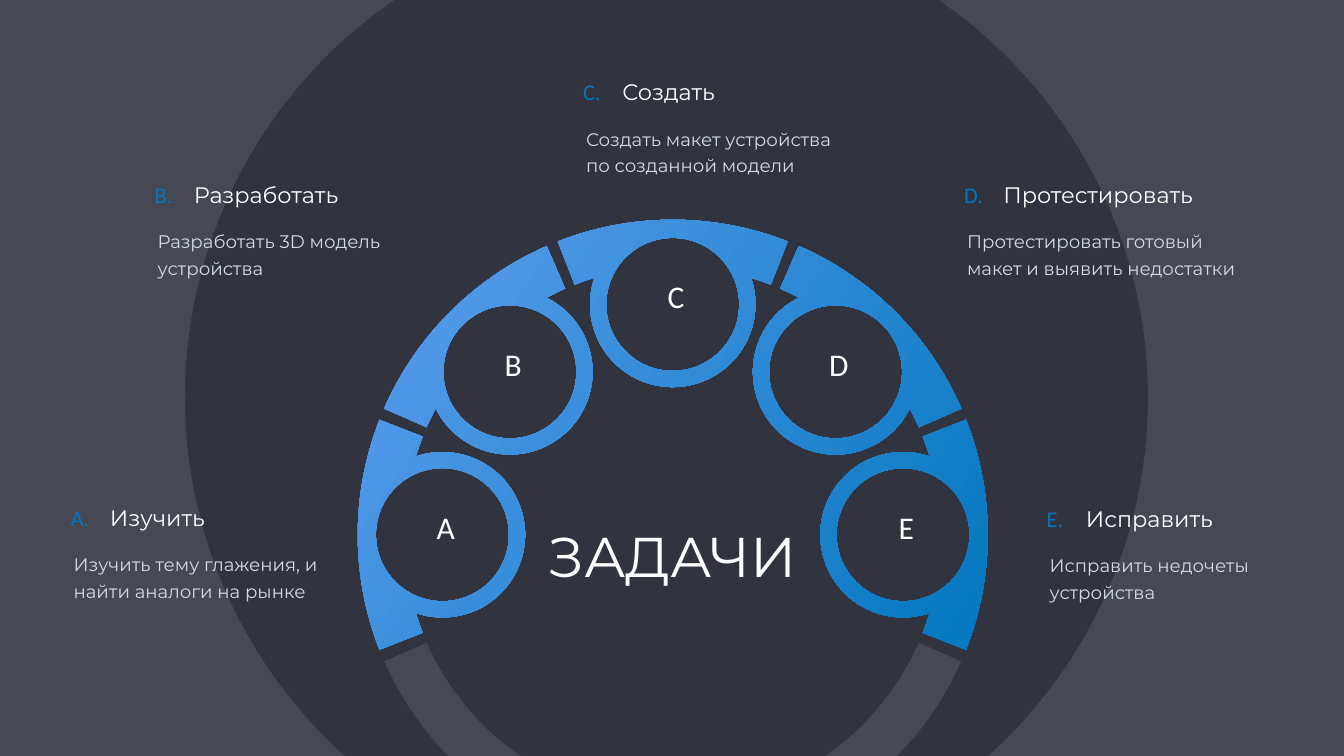
from dataclasses import dataclass
from math import acos, atan2, ceil, cos, degrees, radians, sin, tan

from pptx import Presentation
from pptx.dml.color import RGBColor
from pptx.enum.shapes import MSO_SHAPE
from pptx.enum.text import MSO_ANCHOR, MSO_AUTO_SIZE, PP_ALIGN
from pptx.oxml.ns import qn
from pptx.util import Inches, Pt

ELLIPSE = MSO_SHAPE.OVAL
TOP, MIDDLE = MSO_ANCHOR.TOP, MSO_ANCHOR.MIDDLE
LEFT, CENTER = PP_ALIGN.LEFT, PP_ALIGN.CENTER
GROW = MSO_AUTO_SIZE.SHAPE_TO_FIT_TEXT


@dataclass(frozen=True)
class Theme:
    background: RGBColor = RGBColor.from_string("464853")
    disc: RGBColor = RGBColor.from_string("31333F")
    gradient_start: RGBColor = RGBColor.from_string("5E9EEE")
    accent: RGBColor = RGBColor.from_string("0277BF")
    white: RGBColor = RGBColor.from_string("FFFFFF")
    body: RGBColor = RGBColor.from_string("D2DBE4")
    letter_font: str = "Calibri"
    text_font: str = "Montserrat"
    title_size: int = 80
    badge_size: int = 45
    heading_size: int = 32
    body_size: int = 26


theme = Theme()
presentation = Presentation()
presentation.slide_width, presentation.slide_height = Inches(26.67), Inches(15)
slide = presentation.slides.add_slide(presentation.slide_layouts[6])
slide.background.fill.solid()
slide.background.fill.fore_color.rgb = theme.background


def add_curved_outline(contours):
    """Each contour is a list of arcs (x, y, radius, start, end), in degrees
    counterclockwise from the right, joined by straight edges."""
    builder = None
    for arcs in contours:
        points = []
        for x, y, radius, start, end in arcs:
            count = ceil(abs(end - start) / 90)
            step = radians(end - start) / count
            pull = 4 / 3 * tan(step / 4)
            first = (x + radius * cos(radians(start)), y - radius * sin(radians(start)))
            # A straight edge is a curve with its handles on its ends
            points += [points[-1], first, first] if points else [first]
            for i in range(count):
                a = radians(start) + i * step
                b = a + step
                points += [(x + radius * (cos(a) - pull * sin(a)),
                            y - radius * (sin(a) + pull * cos(a))),
                           (x + radius * (cos(b) + pull * sin(b)),
                            y - radius * (sin(b) - pull * cos(b))),
                           (x + radius * cos(b), y - radius * sin(b))]
        points = [(Inches(px), Inches(py)) for px, py in points]
        if builder is None:
            builder = slide.shapes.build_freeform(*points[0], scale=1.0)
        else:
            builder.move_to(*points[0])
        builder.add_line_segments(points[1:], close=True)
    shape = builder.convert_to_shape()
    # Every three line points become one Bezier curve
    lines = list(shape._element.iter(qn("a:lnTo")))
    for curve, second, third in zip(lines[::3], lines[1::3], lines[2::3]):
        curve.tag = qn("a:cubicBezTo")
        for line in (second, third):
            curve.append(line[0])
            line.getparent().remove(line)
    shape.shadow.inherit = False
    shape.line.fill.background()
    return shape


def add_text(box, text, size, color, font, align=LEFT, anchor=MIDDLE, spacing=None):
    frame = slide.shapes.add_textbox(*map(Inches, box)).text_frame
    frame.word_wrap = True
    frame.auto_size = GROW
    frame.vertical_anchor = anchor
    frame.margin_left = frame.margin_right = Inches(0.06)
    frame.margin_top = frame.margin_bottom = Inches(0.06)
    paragraph = frame.paragraphs[0]
    paragraph.text = text
    paragraph.alignment = align
    paragraph.line_spacing = spacing
    paragraph.font.size = Pt(size)
    paragraph.font.name = font
    paragraph.font.color.rgb = color


# Background disc
disc = slide.shapes.add_shape(ELLIPSE, Inches(3.67), Inches(-1.67), Inches(19.11), Inches(19.11))
disc.shadow.inherit = False
disc.fill.solid()
disc.fill.fore_color.rgb = theme.disc
disc.line.fill.background()

# Wheel geometry
WHEEL_X, WHEEL_Y = 13.35, 10.61
OUTER, INNER = 6.25, 5.33
ORBIT, RING, HOLE = 4.57, 1.64, 1.32
HALF_SEGMENT = 21.4
wheel = (WHEEL_X, WHEEL_Y)

# Where a ring crosses the inner edge, seen from the wheel and from the ring
crossing = acos((INNER**2 + ORBIT**2 - RING**2) / (2 * INNER * ORBIT))
ring_crossing = degrees(atan2(INNER * sin(crossing), INNER * cos(crossing) - ORBIT))
crossing = degrees(crossing)

# Lower grey arc
lower_arc = add_curved_outline([[(*wheel, OUTER, 203.7, 336.3), (*wheel, INNER, 336.3, 203.7)]])
lower_arc.fill.solid()
lower_arc.fill.fore_color.rgb = theme.background

# Five segments, each with a ring and a round hole
segment_angles = [180, 135, 90, 45, 0]
ring_centers = [(WHEEL_X + ORBIT * cos(radians(a)), WHEEL_Y - ORBIT * sin(radians(a)))
                for a in segment_angles]
contours = []
for angle, center in zip(segment_angles, ring_centers):
    start, end = angle - HALF_SEGMENT, angle + HALF_SEGMENT
    contours.append([
        (*wheel, OUTER, start, end),
        (*wheel, INNER, end, angle + crossing),
        (*center, RING, angle + ring_crossing, angle + 360 - ring_crossing),
        (*wheel, INNER, angle - crossing, start),
    ])
    contours.append([(*center, HOLE, 360, 0)])
segments = add_curved_outline(contours)
segments.fill.gradient()
segments.fill.gradient_angle = 360 - 34
for stop, color, position in zip(segments.fill.gradient_stops,
                                 (theme.gradient_start, theme.accent), (0, 1)):
    stop.color.rgb = color
    stop.position = position

# Letters inside the rings
for letter, (x, y) in zip("ABCDE", ring_centers):
    add_text((x - 0.5, y - 0.6, 1.13, 0.87), letter, theme.badge_size,
             theme.white, theme.letter_font, CENTER)

# Title
add_text((10.31, 10.29, 6.08, 1.46), "ЗАДАЧИ", theme.title_size,
         theme.white, theme.text_font, CENTER)

# Tasks: left, top, letter, heading, description
tasks = [
    (1.34, 9.94, "A.", "Изучить", "Изучить тему глажения, и найти аналоги на рынке"),
    (3.01, 3.53, "B.", "Разработать", "Разработать 3D модель устройства"),
    (11.51, 1.5, "С.", "Создать", "Создать макет устройства по созданной модели"),
    (19.07, 3.53, "D.", "Протестировать", "Протестировать готовый макет и выявить недостатки"),
    (20.71, 9.96, "E.", "Исправить", "Исправить недочеты устройства"),
]
for left, top, letter, heading, description in tasks:
    add_text((left, top, 0.69, 0.65), letter, theme.heading_size,
             theme.accent, theme.letter_font)
    add_text((left + 0.06, top + 0.9, 5.47, 1.16), description, theme.body_size,
             theme.body, theme.text_font, anchor=TOP, spacing=1.2)
    add_text((left + 0.78, top, 3.9, 0.65), heading, theme.heading_size,
             theme.white, theme.text_font)

presentation.save("out.pptx")
